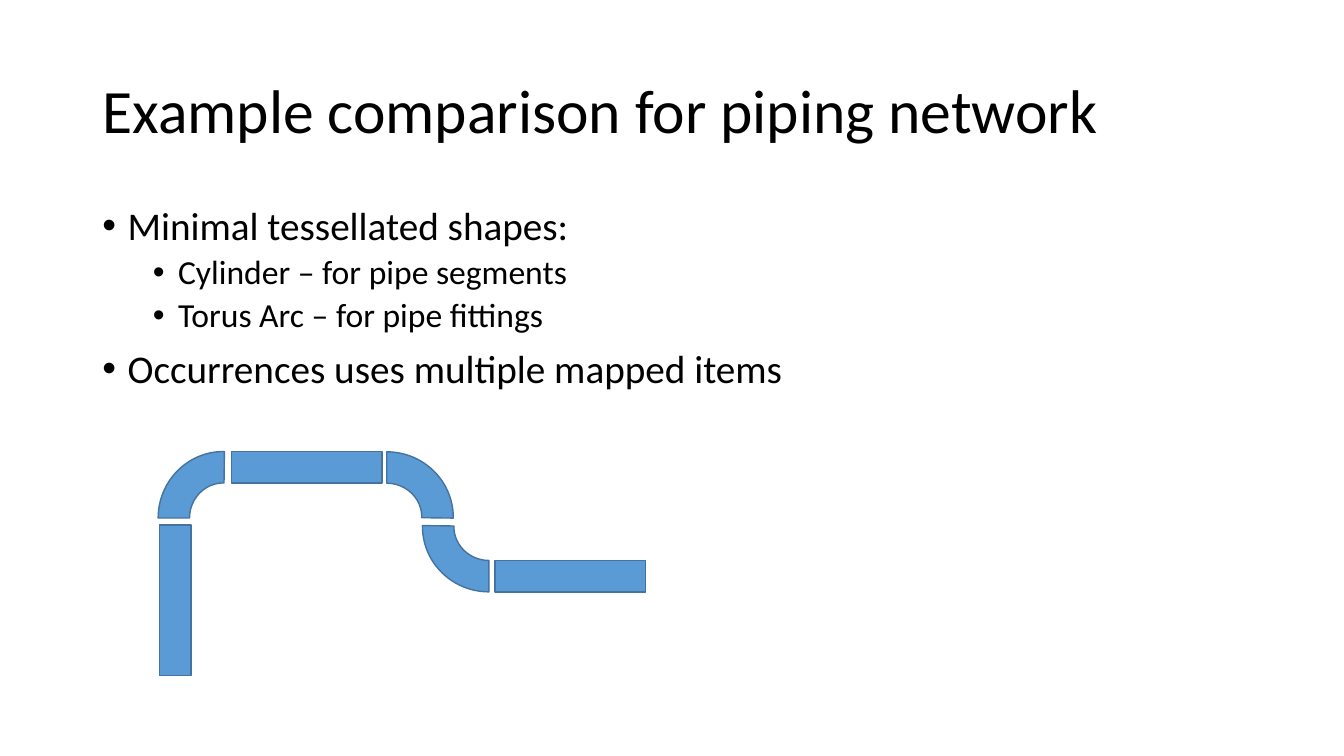
from pptx import Presentation
from pptx.dml.color import RGBColor
from pptx.enum.shapes import MSO_SHAPE as Preset
from pptx.enum.text import MSO_ANCHOR as Anchor, PP_ALIGN as Align
from pptx.oxml.ns import qn
from pptx.util import Pt
from lxml.etree import SubElement

BLACK = RGBColor(0x00, 0x00, 0x00)
PIPE_BLUE = RGBColor(0x5B, 0x9B, 0xD5)
PIPE_EDGE = RGBColor(0x43, 0x73, 0x9E)

PIPE_LENGTH, PIPE_WIDTH = 107.5, 22.5
ELBOW_WIDTH, ELBOW_HEIGHT = 93.5, 95
ELBOW_ARC = (108, 162.44, 0.24)  # start angle, end angle, thickness

POINTS = [  # text, level
    ("Minimal tessellated shapes:", 0),
    ("Cylinder – for pipe segments", 1),
    ("Torus Arc – for pipe fittings", 1),
    ("Occurrences uses multiple mapped items", 0),
]
PIPES = [(165.5, 322.5, 0), (353.5, 400.5, 0), (71.5, 417.5, 270)]  # left, top, turn
ELBOWS = [(113, 322.5, 0), (229.5, 322, 90), (302.5, 328.5, 270)]


def place(item, left, top, width, height):
    item.left, item.top = Pt(left), Pt(top)
    item.width, item.height = Pt(width), Pt(height)


def write(paragraph, text, size, before=0, level=0, bullet=False):
    paragraph.level = level
    paragraph.alignment = Align.LEFT
    paragraph.line_spacing = 0.9
    paragraph.space_before = Pt(before)
    run = paragraph.add_run()
    run.text = text
    run.font.name = "Calibri"
    run.font.size = Pt(size)
    run.font.color.rgb = BLACK
    if bullet:
        props = paragraph._p.get_or_add_pPr()
        props.set("marL", str(Pt(18 + 36 * level)))
        props.set("indent", str(Pt(-18)))
        SubElement(props, qn("a:buFont")).set("typeface", "Arial")
        SubElement(props, qn("a:buChar")).set("char", "•")


def add_part(slide, preset, left, top, width, height, turn):
    part = slide.shapes.add_shape(preset, Pt(left), Pt(top), Pt(width), Pt(height))
    part.rotation = turn
    part.shadow.inherit = False
    part.fill.solid()
    part.fill.fore_color.rgb = PIPE_BLUE
    part.line.color.rgb = PIPE_EDGE
    part.line.width = Pt(1)
    return part


def add_pipe(slide, left, top, turn):
    add_part(slide, Preset.RECTANGLE, left, top, PIPE_LENGTH, PIPE_WIDTH, turn)


def add_elbow(slide, left, top, turn):
    elbow = add_part(slide, Preset.BLOCK_ARC, left, top, ELBOW_WIDTH, ELBOW_HEIGHT, turn)
    for index, value in enumerate(ELBOW_ARC):
        elbow.adjustments[index] = value


def main():
    deck = Presentation()
    deck.slide_width, deck.slide_height = Pt(960), Pt(540)
    slide = deck.slides.add_slide(deck.slide_layouts[1])

    # Heading
    heading = slide.shapes.title
    place(heading, 66, 28.75, 828, 104.5)
    heading.text_frame.vertical_anchor = Anchor.MIDDLE
    write(heading.text_frame.paragraphs[0], "Example comparison for piping network", 44)

    # Bullet list
    points = slide.placeholders[1]
    place(points, 66, 143.75, 828, 342.5)
    frame = points.text_frame
    for index, (text, level) in enumerate(POINTS):
        paragraph = frame.add_paragraph() if index else frame.paragraphs[0]
        write(paragraph, text, 28 - 4 * level, before=10 - 5 * level,
              level=level, bullet=True)

    # Piping network
    for elbow in ELBOWS:
        add_elbow(slide, *elbow)
    for pipe in PIPES:
        add_pipe(slide, *pipe)

    deck.save("out.pptx")


main()
